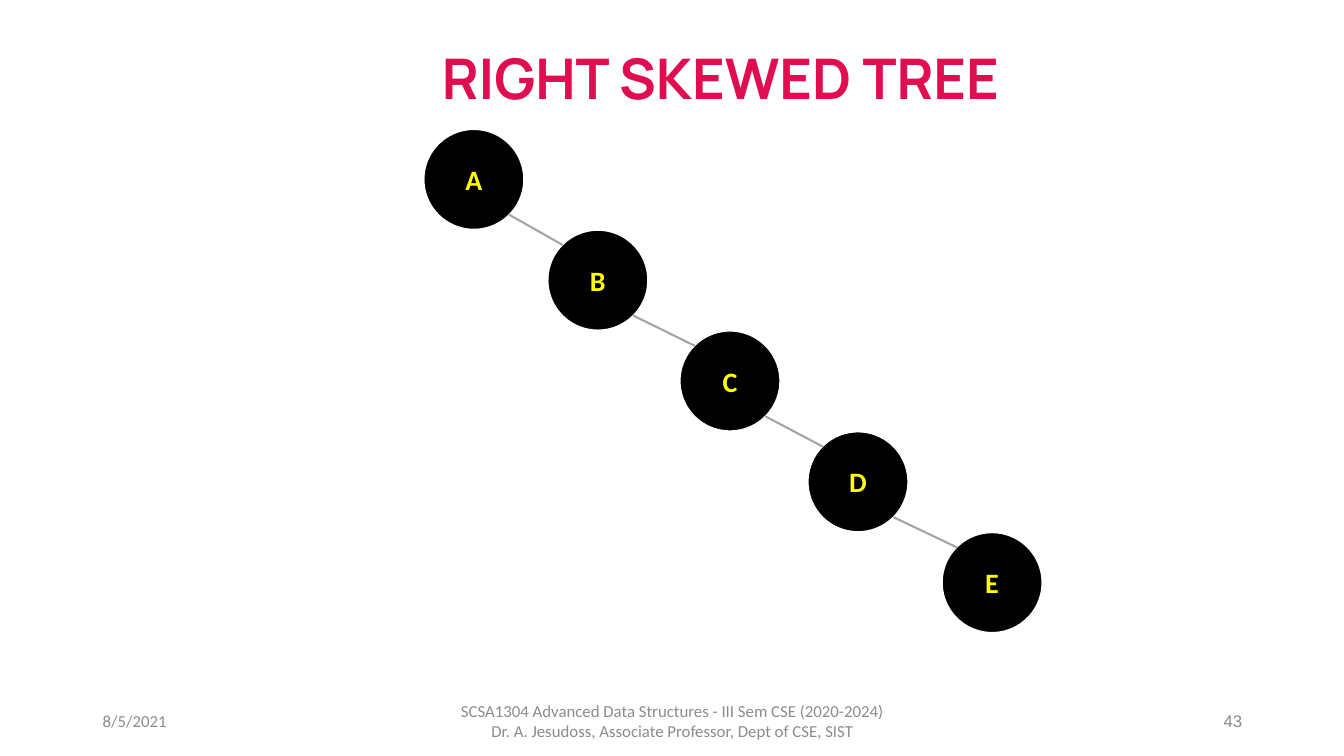
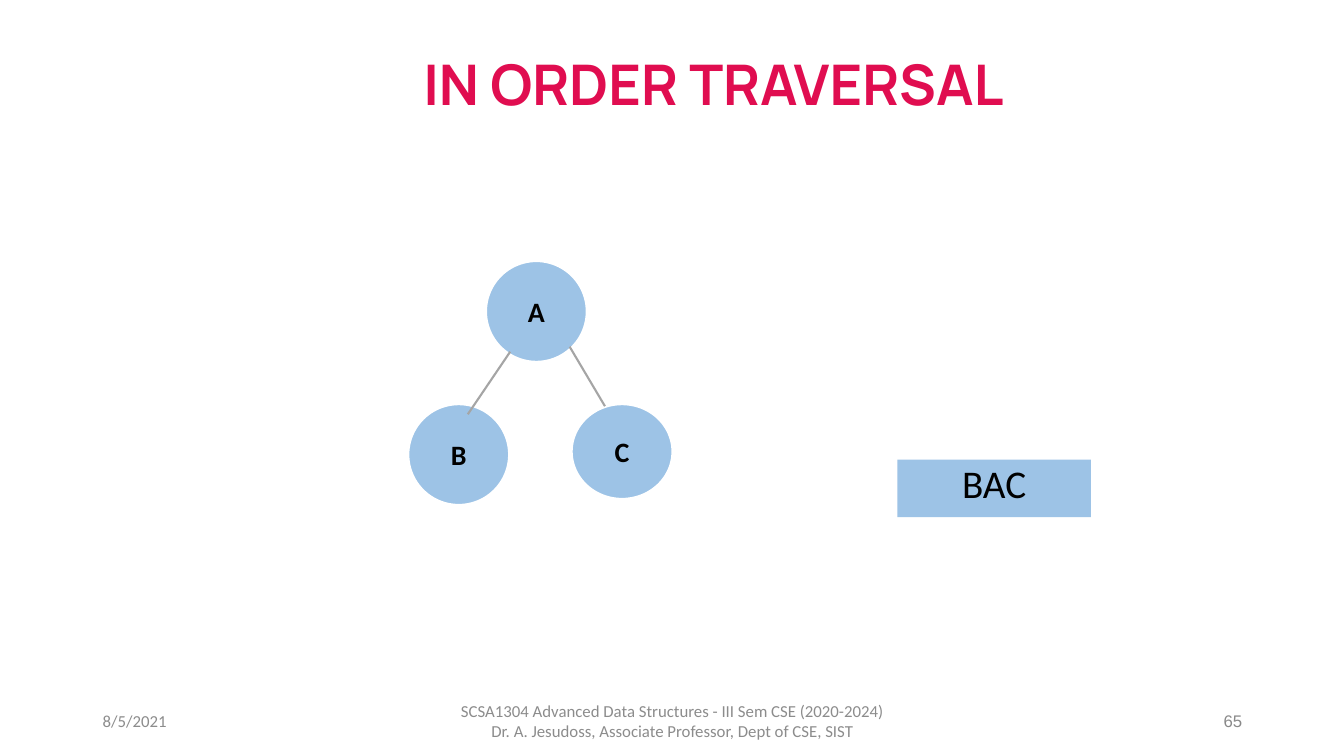
from pptx import Presentation
from pptx.dml.color import RGBColor
from pptx.enum.shapes import MSO_CONNECTOR, MSO_SHAPE
from pptx.enum.text import MSO_ANCHOR, PP_ALIGN
from pptx.oxml.ns import qn
from pptx.util import Pt
from lxml.etree import SubElement

PX = 9144
COLORS = {
    "title": "E00D50",
    "footer": "8C8C8C",
    "number": "898989",
    "edge": "A5A5A5",
    "black": "000000",
    "yellow": "FFFF00",
    "blue": "9DC3E6",
    "white": "FFFFFF",
}
FOOTER = (
    "SCSA1304 Advanced Data Structures - III Sem CSE (2020-2024)\n"
    "Dr. A. Jesudoss, Associate Professor, Dept of CSE, SIST"
)
DATE = "8/5/2021"
NODE = 100
CORNER = 15


def rgb(name):
    return RGBColor.from_string(COLORS[name])


def put_text(sp, text, size=12, font="Calibri", color="black", bold=False,
             align=PP_ALIGN.CENTER, anchor=MSO_ANCHOR.MIDDLE, spacing=None):
    tf = sp.text_frame
    tf.word_wrap = True
    tf.vertical_anchor = anchor
    p = tf.paragraphs[0]
    p.alignment = align
    if spacing:
        p.line_spacing = spacing
    for i, line in enumerate(text.split("\n")):
        if i:
            p.add_line_break()
        r = p.add_run()
        r.text = line
        r.font.size = Pt(size)
        r.font.name = font
        r.font.bold = bold
        r.font.color.rgb = rgb(color)


class Deck:
    def __init__(self):
        self.prs = Presentation()
        self.prs.slide_width = 1333 * PX
        self.prs.slide_height = 750 * PX
        self.s = None

    def slide(self, title, number, title_box):
        self.s = self.prs.slides.add_slide(self.prs.slide_layouts[6])
        self.text(title_box, title, size=40, font="Manrope", color="title",
                  bold=True, spacing=0.9)
        self.text((92, 695, 300, 40), DATE, color="footer", align=PP_ALIGN.LEFT)
        self.text((442, 695, 450, 40), FOOTER, color="footer")
        self.text((942, 695, 300, 40), str(number), font="Arial",
                  color="number", align=PP_ALIGN.RIGHT)

    def text(self, box, text, **fmt):
        sp = self.s.shapes.add_textbox(*(v * PX for v in box))
        put_text(sp, text, **fmt)

    def shape(self, kind, box, text, fill, line=None, **fmt):
        sp = self.s.shapes.add_shape(kind, *(v * PX for v in box))
        sp.shadow.inherit = False
        sp.fill.solid()
        sp.fill.fore_color.rgb = rgb(fill)
        if line:
            sp.line.color.rgb = rgb(line)
            sp.line.width = Pt(1.5)
        else:
            sp.line.fill.background()
        put_text(sp, text, **fmt)

    def node(self, label, x, y, fill, color, height=NODE):
        self.shape(MSO_SHAPE.OVAL, (x, y, NODE, height), label, fill,
                   line="white", size=20, color=color, bold=True)

    def edge(self, *ends):
        cx = self.s.shapes.add_connector(MSO_CONNECTOR.STRAIGHT, *(v * PX for v in ends))
        cx.line.color.rgb = rgb("edge")
        cx.line.width = Pt(1.5)
        SubElement(cx._element.spPr, qn("a:effectLst"))


def skewed_tree(deck):
    deck.slide("RIGHT SKEWED TREE", 43, (180, 18, 1069, 125))
    lefts = [420, 543, 674, 801, 934]
    spots = [(x, 128 + i * NODE) for i, x in enumerate(lefts)]
    for label, (x, y) in zip("ABCDE", spots):
        deck.node(label, x, y, "black", "yellow")
    for (x1, y1), (x2, y2) in zip(spots, spots[1:]):
        deck.edge(x1 + NODE - CORNER, y1 + NODE - CORNER, x2 + CORNER, y2 + CORNER)


def in_order(deck):
    deck.slide("IN ORDER TRAVERSAL", 65, (173, 40, 1069, 94))
    deck.shape(MSO_SHAPE.RECTANGLE, (890, 456, 192, 57), "BAC", "blue",
               size=28, anchor=MSO_ANCHOR.TOP, spacing=0.9)
    for label, x, y, height in [("B", 405, 401, NODE), ("C", 567, 401, 94),
                                ("A", 482, 259, NODE)]:
        deck.node(label, x, y, "blue", "black", height)
    deck.edge(506, 349, 464, 411)
    deck.edge(565, 344, 600, 403)


def main():
    deck = Deck()
    skewed_tree(deck)
    in_order(deck)
    deck.prs.save("out.pptx")


if __name__ == "__main__":
    main()
